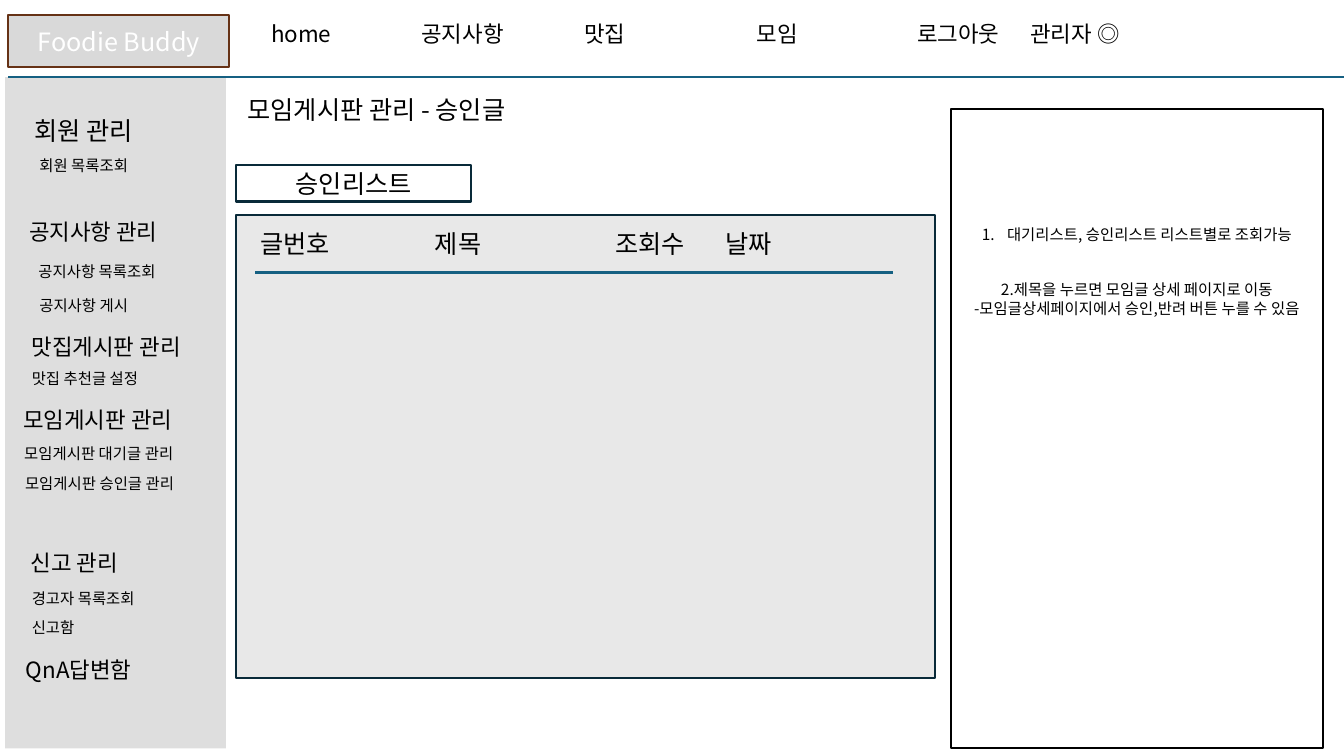
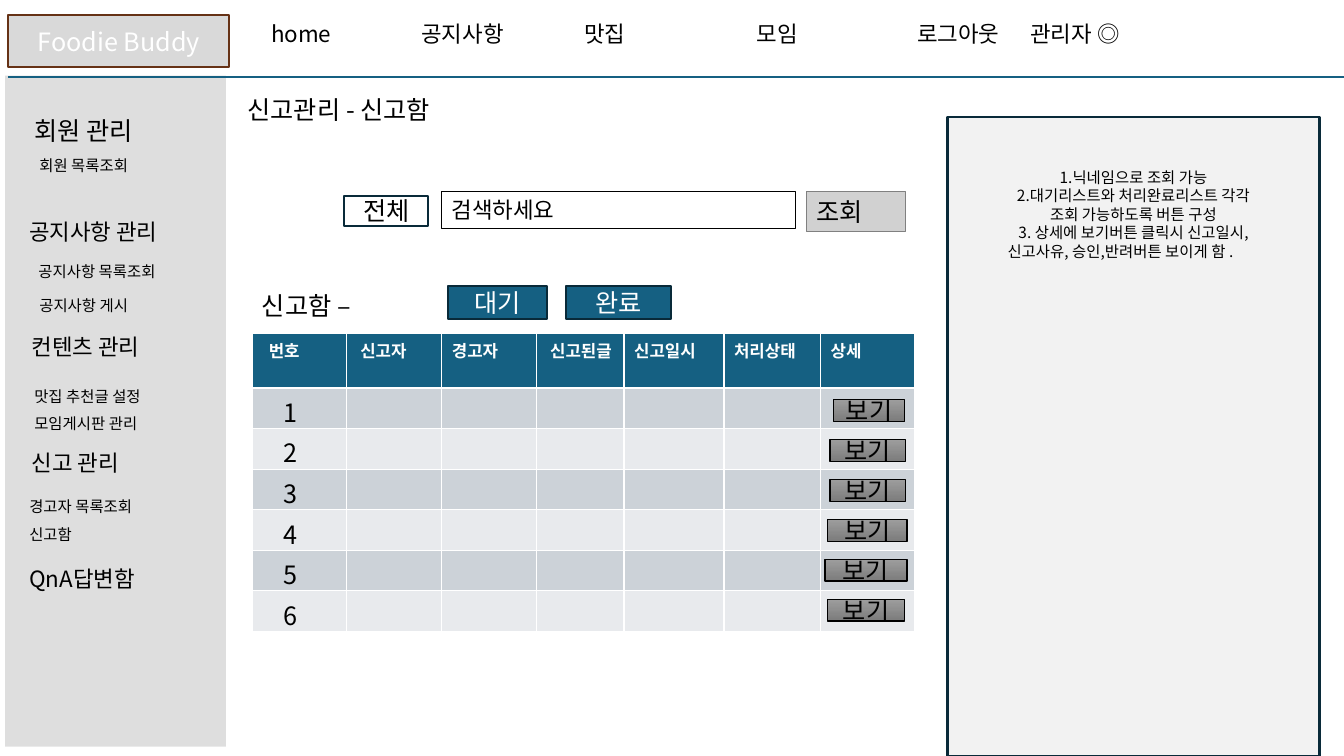
import pptx
import pptx.dml.color
import pptx.enum.shapes
import pptx.enum.text
import pptx.oxml
import pptx.oxml.ns
import pptx.util
from dataclasses import dataclass
from lxml import etree

PP_ALIGN = pptx.enum.text.PP_ALIGN
ANCHOR = pptx.enum.text.MSO_ANCHOR
qn = pptx.oxml.ns.qn

SLIDE_W, SLIDE_H = pptx.util.Inches(13.33), pptx.util.Inches(7.5)
COLS, ROWS = 160, 90


@dataclass(frozen=True)
class Theme:
    font: str = "Noto Sans CJK KR"
    ink: str = "000000"
    paper: str = "FFFFFF"
    accent: str = "156082"
    outline: str = "092A39"
    logo_fill: str = "D9D9D9"
    logo_line: str = "663216"
    sidebar: str = "BFBFBF"
    board: str = "E8E8E8"
    panel: str = "F2F2F2"
    search: str = "D1D1D1"
    search_line: str = "808080"
    bands: tuple = ("CCD2D8", "E8EAED")
    button: tuple = ("9D9D9D", "7C7C7C")
    large: int = 18
    medium: int = 16
    table_head: int = 12
    small: int = 11


T = Theme()

# Shared page content
NAV = "\thome\t공지사항\t맛집\t모임\t로그아웃\t관리자 ◎"
NAV_STOPS = (4.8, 22.7, 42.1, 62.6, 81.7, 95.2)
MENU_TOP = [
    (2.9, 13.1, "회원 관리", T.large),
    (3.5, 18, "회원 목록조회", T.small),
    (2.3, 25.4, "공지사항 관리", T.medium),
    (3.4, 30.6, "공지사항 목록조회", T.small),
    (3.5, 34.6, "공지사항 게시", T.small),
]


# Grid and colour helpers
def gx(cols):
    return round(SLIDE_W * cols / COLS)


def gy(rows):
    return round(SLIDE_H * rows / ROWS)


def area(x, y, w, h):
    return gx(x), gy(y), gx(w), gy(h)


def rgb(color):
    return pptx.dml.color.RGBColor.from_string(color)


# Text helpers
def format_text(tf, size, color=T.ink, align=PP_ALIGN.LEFT, bold=False):
    for p in tf.paragraphs:
        p.alignment = align
        for r in p.runs:
            r.font.size = pptx.util.Pt(size)
            r.font.bold = bold
            r.font.color.rgb = rgb(color)
            r.font.name = T.font
            etree.SubElement(r.font._element, qn("a:ea"), typeface=T.font)


def add_tabs(p, stops):
    tabs = etree.SubElement(p._p.get_or_add_pPr(), qn("a:tabLst"))
    for stop in stops:
        etree.SubElement(tabs, qn("a:tab"), pos=str(gx(stop)), algn="l")


def add_number(p):
    pPr = p._p.get_or_add_pPr()
    indent = pptx.util.Inches(0.25)
    pPr.set("marL", str(indent))
    pPr.set("indent", str(-indent))
    etree.SubElement(pPr, qn("a:buAutoNum"), type="arabicPeriod")


def add_label(slide, x, y, w, text, size, stops=()):
    height = {T.large: 4.8, T.medium: 4.4, T.small: 3.5}[size]
    tf = slide.shapes.add_textbox(*area(x, y, w, height)).text_frame
    tf.word_wrap = True
    tf.text = text
    format_text(tf, size)
    if stops:
        add_tabs(tf.paragraphs[0], stops)


# Shape helpers
def add_box(slide, x, y, w, h, fill=None, line=None, width=1.5, text="",
            size=T.large, color=T.ink, align=PP_ALIGN.CENTER,
            anchor=ANCHOR.MIDDLE):
    sp = slide.shapes.add_shape(
        pptx.enum.shapes.MSO_SHAPE.RECTANGLE, *area(x, y, w, h))
    sp.shadow.inherit = False
    if fill:
        sp.fill.solid()
        sp.fill.fore_color.rgb = rgb(fill)
    else:
        sp.fill.background()
    if line:
        sp.line.color.rgb = rgb(line)
        sp.line.width = pptx.util.Pt(width)
    else:
        sp.line.fill.background()
    tf = sp.text_frame
    tf.word_wrap = True
    tf.vertical_anchor = anchor
    if text:
        tf.text = text
        format_text(tf, size, color, align)
    return sp


def add_rule(slide, x1, x2, y, width=1.5):
    cxn = slide.shapes.add_connector(
        pptx.enum.shapes.MSO_CONNECTOR.STRAIGHT,
        gx(x1), gy(y), gx(x2), gy(y))
    cxn.line.color.rgb = rgb(T.accent)
    cxn.line.width = pptx.util.Pt(width)
    etree.SubElement(cxn._element.spPr, qn("a:effectLst"))


def add_notes_panel(slide, x, y, fill, line, inset, lines):
    sp = add_box(slide, x, y, 44.3, 76.1, fill, line, text="\n".join(lines),
                 size=T.small, anchor=ANCHOR.TOP)
    sp.text_frame.margin_top = gy(inset)
    return sp.text_frame.paragraphs


def add_view_button(slide, x, y, w):
    sp = add_box(slide, x, y, w, 2.6, line=T.ink, width=1, text="보기")
    sp.fill.gradient()
    sp.fill.gradient_angle = 270
    for stop, color in zip(sp.fill.gradient_stops, T.button):
        stop.color.rgb = rgb(color)


def fill_cell(cell, fill, text, size, color, bold, indent):
    cell.fill.solid()
    cell.fill.fore_color.rgb = rgb(fill)
    cell.margin_left = gx(indent)
    if text:
        cell.text_frame.text = text
        format_text(cell.text_frame, size, color, bold=bold)


def add_report_table(slide, x, y, columns, count):
    head_h, row_h = 6.5, 4.83
    width = sum(w for _, w, _ in columns)
    table = slide.shapes.add_table(
        count + 1, len(columns),
        *area(x, y, width, head_h + count * row_h)).table
    for i, row in enumerate(table.rows):
        row.height = gy(row_h if i else head_h)
    for j, (head, w, indent) in enumerate(columns):
        table.columns[j].width = gx(w)
        fill_cell(table.cell(0, j), T.accent, head, T.table_head,
                  T.paper, True, indent)
        for i in range(1, count + 1):
            number = "" if j else str(i)
            fill_cell(table.cell(i, j), T.bands[(i - 1) % 2], number,
                      T.large, T.ink, False, 1.2 if j else 3.7)


# Frame shared by both pages
def add_page(prs, title, menu, sidebar_top):
    slide = prs.slides.add_slide(prs.slide_layouts[6])
    add_label(slide, 26.3, 1.8, 131.6, NAV, T.medium, NAV_STOPS)
    add_box(slide, 1, 1.8, 26.3, 6.2, T.logo_fill, T.logo_line,
            text="Foodie Buddy", color=T.paper)
    sidebar = add_box(slide, 0.6, sidebar_top, 26.3, 79.9, T.sidebar)
    color = sidebar._element.spPr.find(qn("a:solidFill"))[0]
    etree.SubElement(color, qn("a:alpha"), val="50000")
    add_rule(slide, 1, COLS, 9.2)
    for x, y, text, size in MENU_TOP + menu:
        add_label(slide, x, y, 23, text, size)
    add_label(slide, 28.3, 10.6, 40.8, title, T.large)
    return slide


def add_approved_page(prs):
    menu = [
        (2.6, 39.1, "맛집게시판 관리", T.medium),
        (2.6, 43.4, "맛집 추천글 설정", T.small),
        (1.6, 47.8, "모임게시판 관리", T.medium),
        (1.7, 52.3, "모임게시판 대기글 관리", T.small),
        (1.8, 55.8, "모임게시판 승인글 관리", T.small),
        (2.5, 64.8, "신고 관리", T.medium),
        (2.6, 69.5, "경고자 목록조회", T.small),
        (2.6, 73, "신고함", T.small),
        (1.9, 77.5, "QnA답변함", T.medium),
    ]
    slide = add_page(prs, "모임게시판 관리 - 승인글", menu, 9.2)

    # List board
    add_box(slide, 28.1, 19.7, 28, 4.3, T.paper, T.outline, text="승인리스트")
    add_box(slide, 28.1, 25.6, 83.2, 55.1, T.board, T.outline)
    add_label(slide, 29.8, 26.6, 79.2, "글번호\t제목\t조회수\t날짜",
              T.large, (20.8, 42.3, 55.4))
    add_rule(slide, 30.4, 106.3, 32.4, 2)

    # Notes
    notes = add_notes_panel(slide, 113.2, 13, T.paper, T.ink, 13.8, [
        "대기리스트, 승인리스트 리스트별로 조회가능",
        "2.제목을 누르면 모임글 상세 페이지로 이동",
        "-모임글상세페이지에서 승인,반려 버튼 누를 수 있음",
    ])
    add_number(notes[0])
    notes[1].space_before = pptx.util.Pt(26.4)


def add_reports_page(prs):
    menu = [
        (2.6, 39.1, "컨텐츠 관리", T.medium),
        (2.9, 45.5, "맛집 추천글 설정", T.small),
        (2.9, 48.7, "모임게시판 관리", T.small),
        (2.6, 52.9, "신고 관리", T.medium),
        (2.3, 58.6, "경고자 목록조회", T.small),
        (2.3, 61.9, "신고함", T.small),
        (2.3, 66.7, "QnA답변함", T.medium),
    ]
    slide = add_page(prs, "신고관리 - 신고함", menu, 9)

    # Search row
    add_box(slide, 41, 23.3, 10, 3.6, T.paper, T.outline, text="전체")
    add_box(slide, 52.6, 22.8, 42.1, 4.4, line=T.ink, width=0.75,
            text="검색하세요", size=T.medium, align=PP_ALIGN.LEFT)
    add_box(slide, 96, 22.8, 11.8, 4.8, T.search, T.search_line, 0.75,
            text="조회", align=PP_ALIGN.LEFT)

    # Status filter
    add_label(slide, 30, 34, 39, "신고함 –", T.large)
    for x, w, text in ((53.3, 11.8, "대기"), (67.4, 12.5, "완료")):
        add_box(slide, x, 34, w, 4, T.accent, T.outline,
                text=text, color=T.paper)

    # Report table: heading, width, indent
    buttons = [(99.2, 8.5), (98.8, 9), (98.8, 9),
               (98.5, 9.5), (98.2, 9.8), (98.5, 9.2)]
    columns = [
        ("번호", 11.3, 2), ("신고자", 11.3, 1.6), ("경고자", 11.3, 1.2),
        ("신고된글", 10.4, 1.6), ("신고일시", 11.9, 1.2),
        ("처리상태", 11.5, 1.2), ("상세", 11.2, 1.2),
    ]
    add_report_table(slide, 30, 39.7, columns, len(buttons))
    for i, (x, w) in enumerate(buttons):
        add_view_button(slide, x, 47.6 + 4.75 * i, w)

    # Notes
    add_notes_panel(slide, 112.8, 13.9, T.panel, T.outline, 6.1, [
        "1.닉네임으로 조회 가능",
        "2.대기리스트와 처리완료리스트 각각",
        "조회 가능하도록 버튼 구성",
        "3. 상세에 보기버튼 클릭시 신고일시,",
        "신고사유, 승인,반려버튼 보이게 함 .\t",
    ])


def main():
    prs = pptx.Presentation()
    prs.slide_width, prs.slide_height = SLIDE_W, SLIDE_H
    add_approved_page(prs)
    add_reports_page(prs)
    prs.save("out.pptx")


if __name__ == "__main__":
    main()
